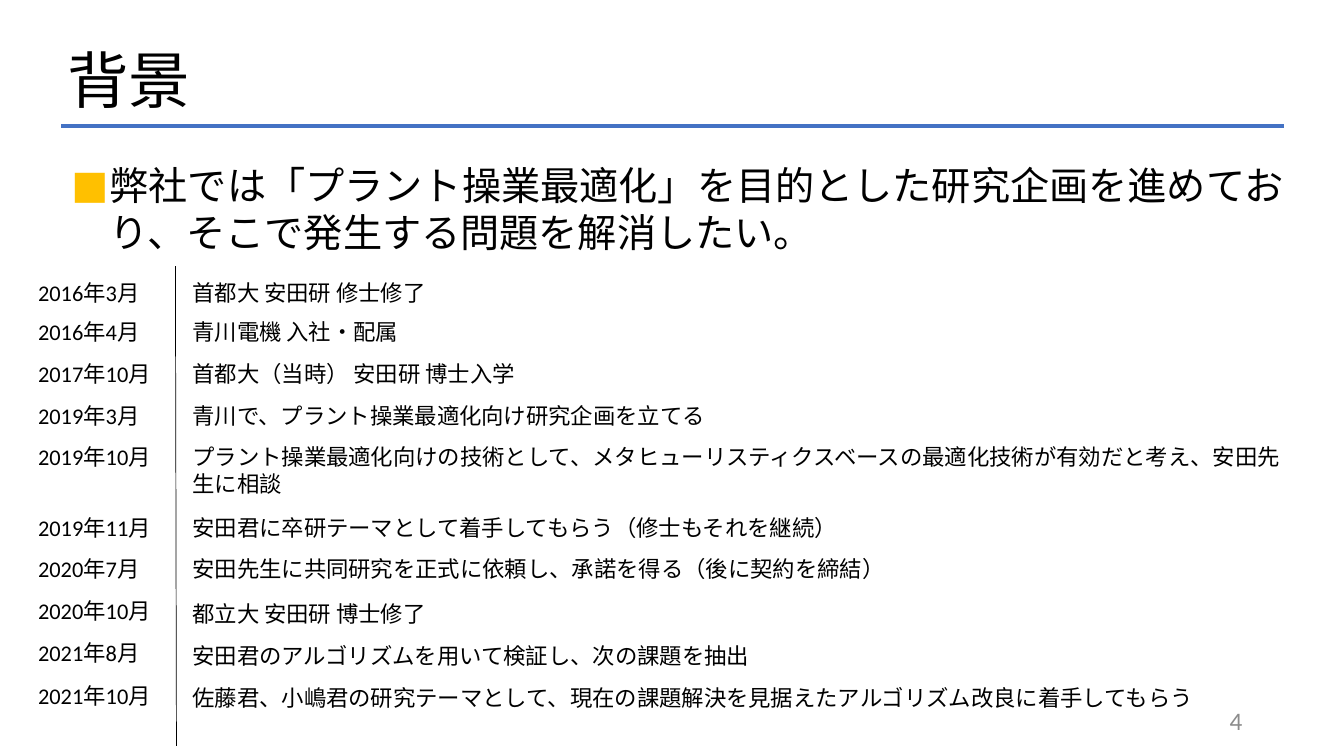
from dataclasses import dataclass

from lxml import etree
from pptx import Presentation
from pptx.dml.color import RGBColor
from pptx.enum import shapes, text
from pptx.oxml.ns import qn
from pptx.util import Inches, Pt

FONT = "Calibri"
BLACK = RGBColor(0x00, 0x00, 0x00)
GRAY = RGBColor(0x8C, 0x8C, 0x8C)
BLUE = RGBColor(0x44, 0x72, 0xC4)
GOLD = RGBColor(0xFF, 0xC0, 0x00)

DATE_LEFT, DATE_WIDTH = 0.28, 1.53
EVENT_LEFT, EVENT_WIDTH = 1.81, 11.15
ROW_HEIGHT = 0.37


@dataclass
class Milestone:
    top: float
    date: str
    event: str
    event_drop: float = 0
    event_height: float = ROW_HEIGHT


@dataclass
class Rule:
    start: tuple[float, float]
    end: tuple[float, float]
    color: RGBColor
    weight: float


MILESTONES = [
    Milestone(2.72, "2016年3月", "首都大 安田研 修士修了"),
    Milestone(3.11, "2016年4月", "青川電機 入社・配属"),
    Milestone(3.52, "2017年10月", "首都大（当時） 安田研 博士入学"),
    Milestone(3.94, "2019年3月", "青川で、プラント操業最適化向け研究企画を立てる"),
    Milestone(4.35, "2019年10月",
              "プラント操業最適化向けの技術として、メタヒューリスティクスベースの"
              "最適化技術が有効だと考え、安田先生に相談", event_height=0.64),
    Milestone(5.05, "2019年11月", "安田君に卒研テーマとして着手してもらう（修士もそれを継続）"),
    Milestone(5.46, "2020年7月", "安田先生に共同研究を正式に依頼し、承諾を得る（後に契約を締結）"),
    Milestone(5.88, "2020年10月", "都立大 安田研 博士修了", event_drop=0.02),
    Milestone(6.29, "2021年8月", "安田君のアルゴリズムを用いて検証し、次の課題を抽出", event_drop=0.03),
    Milestone(6.72, "2021年10月",
              "佐藤君、小嶋君の研究テーマとして、現在の課題解決を見据えた"
              "アルゴリズム改良に着手してもらう", event_drop=0.02),
]

RULES = [
    Rule((0.61, 1.25), (12.73, 1.25), BLUE, 2.25),
    Rule((1.74, 2.64), (1.75, 7.4), BLACK, 0.5),
]


def add_text(slide, left: float, top: float, width: float, height: float,
             words: str, size: float, color: RGBColor = BLACK,
             anchor=text.MSO_ANCHOR.TOP):
    """Add a wrapped text box and return its paragraph."""
    shape = slide.shapes.add_textbox(Inches(left), Inches(top), Inches(width), Inches(height))
    frame = shape.text_frame
    frame.word_wrap = True
    frame.vertical_anchor = anchor
    paragraph = frame.paragraphs[0]
    run = paragraph.add_run()
    run.text = words
    run.font.name = FONT
    run.font.size = Pt(size)
    run.font.color.rgb = color
    return paragraph


def add_bullet(paragraph, symbol: str, color: RGBColor, indent: float) -> None:
    properties = paragraph._p.get_or_add_pPr()
    properties.set("marL", str(Inches(indent)))
    properties.set("indent", str(-Inches(indent)))
    bullet_color = etree.SubElement(properties, qn("a:buClr"))
    etree.SubElement(bullet_color, qn("a:srgbClr"), val=str(color))
    etree.SubElement(properties, qn("a:buFont"), typeface=FONT)
    etree.SubElement(properties, qn("a:buChar"), char=symbol)


def add_rule(slide, rule: Rule) -> None:
    connector = slide.shapes.add_connector(
        shapes.MSO_CONNECTOR.STRAIGHT, *map(Inches, rule.start + rule.end))
    connector.line.color.rgb = rule.color
    connector.line.width = Pt(rule.weight)
    etree.SubElement(connector._element.spPr, qn("a:effectLst"))


def add_milestone(slide, milestone: Milestone) -> None:
    add_text(slide, DATE_LEFT, milestone.top, DATE_WIDTH, ROW_HEIGHT, milestone.date, 16)
    add_text(slide, EVENT_LEFT, milestone.top + milestone.event_drop,
             EVENT_WIDTH, milestone.event_height, milestone.event, 16)


def main() -> None:
    presentation = Presentation()
    presentation.slide_width = Inches(13.33)
    presentation.slide_height = Inches(7.5)
    slide = presentation.slides.add_slide(presentation.slide_layouts[6])

    # Title and page number
    title = add_text(slide, 0.57, 0.1, 11.5, 1.45, "背景", 44, anchor=text.MSO_ANCHOR.MIDDLE)
    title.line_spacing = 0.9
    page_number = add_text(slide, 9.42, 6.95, 3, 0.4, "4", 18, GRAY, text.MSO_ANCHOR.MIDDLE)
    page_number.alignment = text.PP_ALIGN.RIGHT

    # Purpose statement
    purpose = add_text(slide, 0.61, 1.55, 12.31, 1.04,
                       "弊社では「プラント操業最適化」を目的とした研究企画を進めており、"
                       "そこで発生する問題を解消したい。", 28)
    add_bullet(purpose, "■", GOLD, 0.38)

    # Title underline and timeline axis
    for rule in RULES:
        add_rule(slide, rule)

    # Timeline
    for milestone in MILESTONES:
        add_milestone(slide, milestone)

    presentation.save("out.pptx")


if __name__ == "__main__":
    main()
